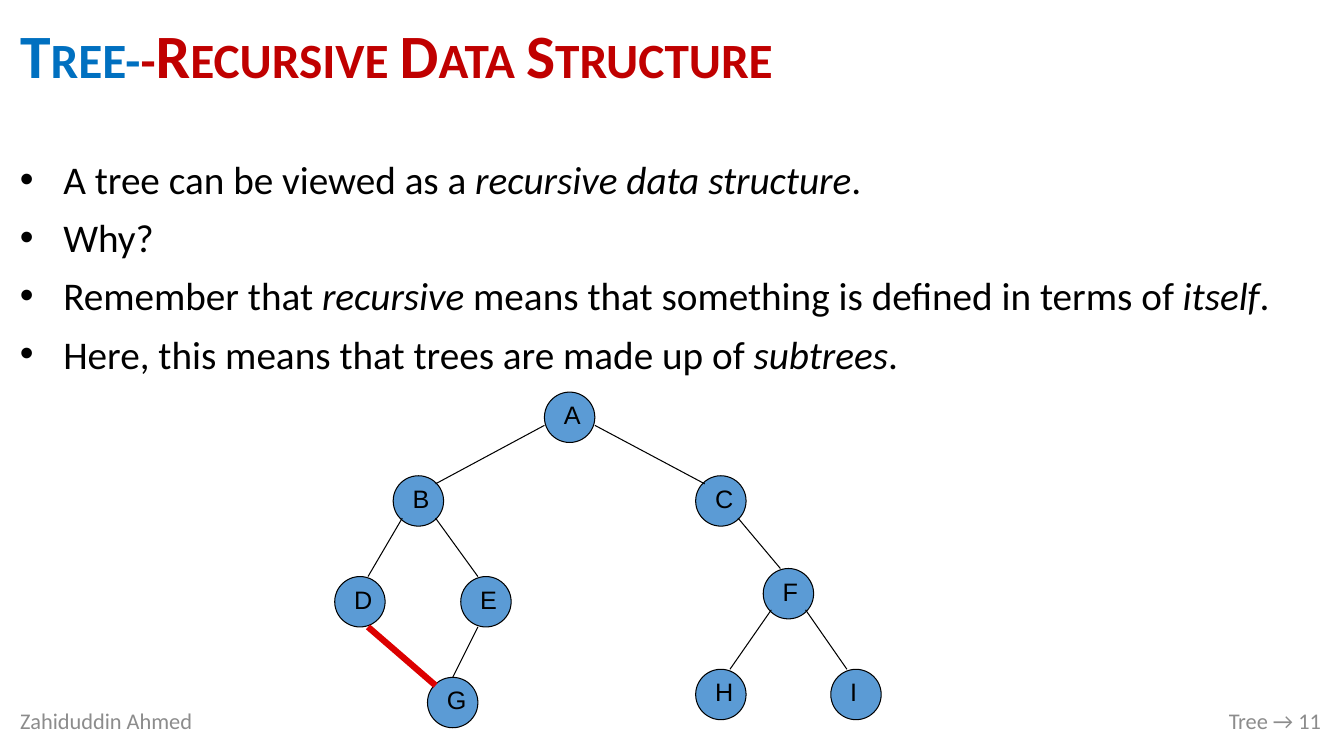
from lxml import etree
from pptx import Presentation
from pptx.dml.color import RGBColor
from pptx.enum.shapes import MSO_CONNECTOR, MSO_SHAPE
from pptx.enum.text import MSO_ANCHOR, MSO_AUTO_SIZE, PP_ALIGN
from pptx.oxml.ns import qn
from pptx.util import Pt

LEFT, RIGHT, JUSTIFY = PP_ALIGN.LEFT, PP_ALIGN.RIGHT, PP_ALIGN.JUSTIFY
TOP, MIDDLE = MSO_ANCHOR.TOP, MSO_ANCHOR.MIDDLE
OVAL, STRAIGHT = MSO_SHAPE.OVAL, MSO_CONNECTOR.STRAIGHT
PX = 9144


def color(value):
    return RGBColor.from_string(value)


def set_font(font, name, size, value):
    font.name, font.size = name, Pt(size)
    font.color.rgb = color(value)


deck = Presentation()
deck.slide_width, deck.slide_height = 1333 * PX, 750 * PX
slide = deck.slides.add_slide(deck.slide_layouts[5])
shapes = slide.shapes

title = shapes.title
title.left, title.top, title.width, title.height = 10 * PX, 11 * PX, 1310 * PX, 95 * PX
title.text_frame.auto_size = MSO_AUTO_SIZE.NONE
title.text_frame.vertical_anchor = MIDDLE
heading = title.text_frame.paragraphs[0]
heading.alignment, heading.line_spacing = LEFT, 0.9
for words, value in (("Tree-", "0070C0"), ("-Recursive Data Structure", "C00000")):
    run = heading.add_run()
    run.text = words
    set_font(run.font, "Calibri", 44, value)
    run.font.bold = True
    run.font._element.set("cap", "small")

statements = [
    ["A tree can be viewed as a ", "recursive data structure", "."],
    ["Why?"],
    ["Remember that ", "recursive", " means that something is defined in terms of ", "itself", "."],
    ["Here, this means that trees are made up of ", "subtrees", "."],
]
body = shapes.add_textbox(10 * PX, 149 * PX, 1310 * PX, 566 * PX).text_frame
body.word_wrap = True
for row, pieces in enumerate(statements):
    statement = body.paragraphs[0] if row == 0 else body.add_paragraph()
    properties = statement._p.get_or_add_pPr()
    properties.set("marL", str(43 * PX))
    properties.set("indent", str(-43 * PX))
    etree.SubElement(properties, qn("a:buFont")).set("typeface", "Arial")
    etree.SubElement(properties, qn("a:buChar")).set("char", "•")
    statement.alignment = LEFT if row == len(statements) - 1 else JUSTIFY
    statement.space_before, statement.space_after = Pt(4 if row else 0), Pt(4)
    set_font(statement.font, "Calibri", 28, "000000")
    for position, words in enumerate(pieces):
        run = statement.add_run()
        run.text = words
        if position % 2:
            run.font.italic = True

for words, left, width, alignment in (
    ("Zahiduddin Ahmed", 10, 241, LEFT),
    ("Tree → 11", 771, 549, RIGHT),
):
    footer = shapes.add_textbox(left * PX, 695 * PX, width * PX, 40 * PX).text_frame
    footer.word_wrap = True
    footer.vertical_anchor = MIDDLE
    footer.paragraphs[0].text = words
    footer.paragraphs[0].alignment = alignment
    set_font(footer.paragraphs[0].font, "Calibri", 16, "8C8C8C")

NODE = 50
nodes = {
    "A": (540, 389), "B": (390, 472), "D": (332, 572), "H": (690, 664), "C": (690, 472),
    "E": (457, 572), "F": (757, 564), "G": (424, 672), "I": (824, 664),
}
for letter, (left, top) in nodes.items():
    node = shapes.add_shape(OVAL, left * PX, top * PX, NODE * PX, NODE * PX)
    node.shadow.inherit = False
    node.fill.solid()
    node.fill.fore_color.rgb = color("5B9BD5")
    node.line.color.rgb = color("000000")
    node.line.width = Pt(0.75)
    label = node.text_frame
    label.vertical_anchor = TOP
    label.margin_left = 12 * PX
    label.margin_top = label.margin_right = label.margin_bottom = 0
    label.paragraphs[0].text = letter
    label.paragraphs[0].alignment = LEFT
    set_font(label.paragraphs[0].font, "Arial", 18, "000000")

TREE_EDGE, EXTRA_EDGE = ("000000", 0.75), ("DC0000", 4.5)
edges = [
    (540, 422, 432, 480, TREE_EDGE),
    (590, 422, 699, 480, TREE_EDGE),
    (399, 514, 365, 572, TREE_EDGE),
    (432, 514, 474, 572, TREE_EDGE),
    (474, 622, 449, 672, TREE_EDGE),
    (732, 514, 774, 564, TREE_EDGE),
    (765, 605, 724, 664, TREE_EDGE),
    (799, 605, 840, 664, TREE_EDGE),
    (365, 622, 432, 680, EXTRA_EDGE),
]
for x1, y1, x2, y2, (value, weight) in edges:
    edge = shapes.add_connector(STRAIGHT, x1 * PX, y1 * PX, x2 * PX, y2 * PX)
    edge.line.color.rgb = color(value)
    edge.line.width = Pt(weight)
    etree.SubElement(edge._element.spPr, qn("a:effectLst"))

deck.save("out.pptx")
